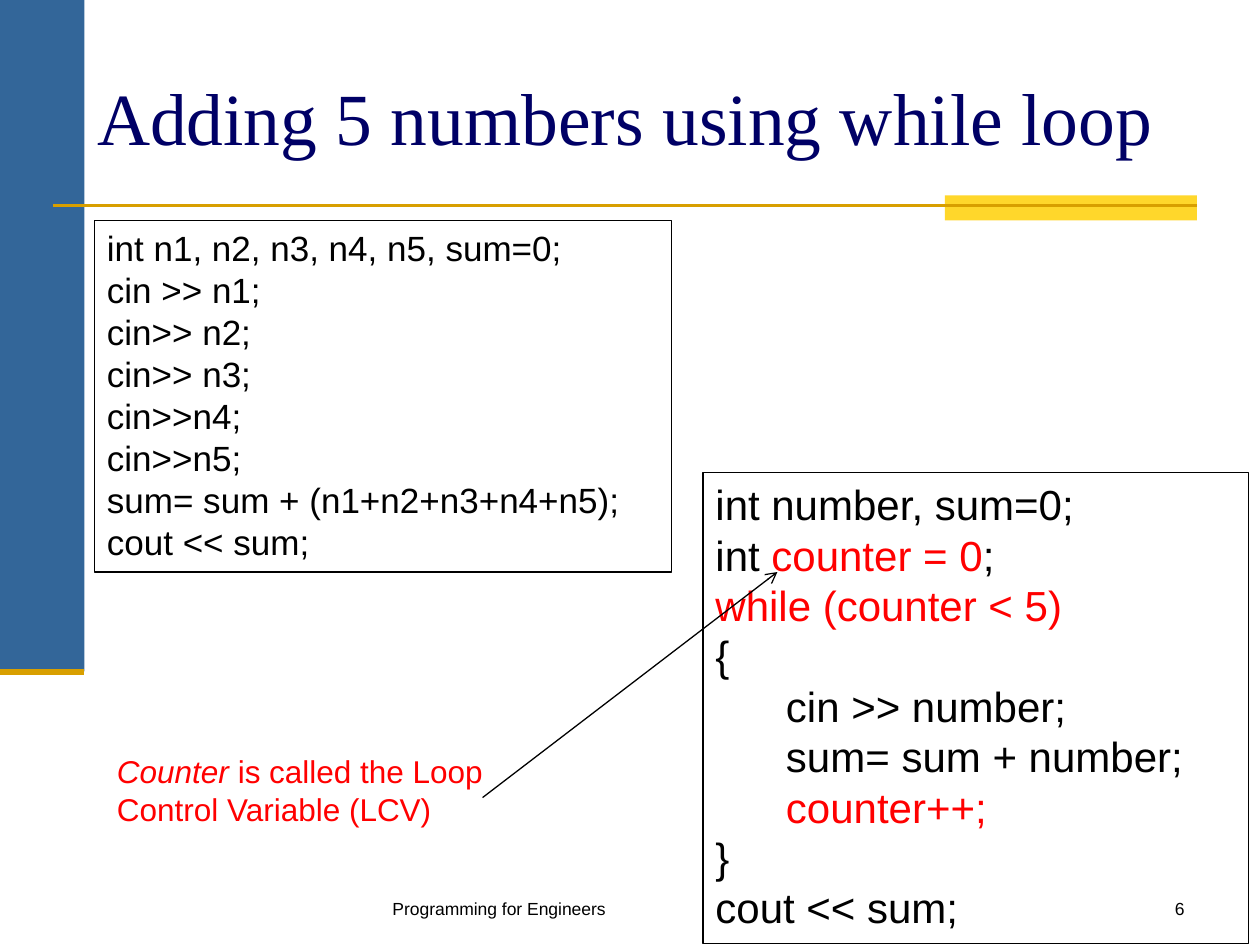
"""Build the slide that compares adding five numbers with and without a while loop."""
from lxml import etree
from pptx import Presentation
from pptx import util as u
from pptx.dml.color import RGBColor
from pptx.enum import shapes, text
from pptx.oxml.ns import qn

COLORS = {"band": "336699", "accent": "FFD72B", "rule": "D89F00",
          "title": "000066", "ink": "000000", "key": "FF0000"}


class SlideBuilder:
    """Hold the style and the current slide."""

    def __init__(self, prs, body_font="Arial", title_font="Times New Roman"):
        """Add a title-only slide."""
        self.s = prs.slides.add_slide(prs.slide_layouts[5])
        self.body_font = body_font
        self.title_font = title_font

    def color(self, name):
        """Look up a colour of the palette."""
        return RGBColor.from_string(COLORS[name])

    def place(self, sp, box):
        """Move and size a shape in inches."""
        sp.left, sp.top, sp.width, sp.height = map(u.Inches, box)

    def run(self, p, words, size, color="ink", italic=False, font=None):
        """Add one formatted run."""
        r = p.add_run()
        r.text = words
        r.font.name = font or self.body_font
        r.font.size = u.Pt(size)
        r.font.italic = italic
        r.font.color.rgb = self.color(color)

    def title(self, words, box, size):
        """Fill the title placeholder."""
        sp = self.s.shapes.title
        self.place(sp, box)
        tf = sp.text_frame
        tf.vertical_anchor = text.MSO_ANCHOR.MIDDLE
        tf.auto_size = text.MSO_AUTO_SIZE.NONE
        p = tf.paragraphs[0]
        p.alignment = text.PP_ALIGN.LEFT
        self.run(p, words, size, "title", font=self.title_font)

    def block(self, box, fill):
        """Add a plain filled rectangle."""
        sp = self.s.shapes.add_shape(shapes.MSO_SHAPE.RECTANGLE, *map(u.Inches, box))
        sp.shadow.inherit = False
        sp.fill.solid()
        sp.fill.fore_color.rgb = self.color(fill)
        sp.line.fill.background()

    def line(self, start, end, color, width, arrow=False):
        """Add a straight line, with an open arrowhead if wanted."""
        c = self.s.shapes.add_connector(
            shapes.MSO_CONNECTOR.STRAIGHT, *map(u.Inches, start + end))
        c.line.color.rgb = self.color(color)
        c.line.width = u.Pt(width)
        if arrow:
            etree.SubElement(c.line._get_or_add_ln(), qn("a:tailEnd"), type="arrow")
        etree.SubElement(c._element.spPr, qn("a:effectLst"))

    def text(self, box, lines, size, align=text.PP_ALIGN.LEFT, border=False):
        """Add a text box; each line is an indent and its runs."""
        sp = self.s.shapes.add_textbox(*map(u.Inches, box))
        if border:
            sp.line.color.rgb = self.color("ink")
            sp.line.width = u.Pt(0.75)
        tf = sp.text_frame
        tf.word_wrap = True
        for i, (indent, runs) in enumerate(lines):
            p = tf.paragraphs[0] if i == 0 else tf.add_paragraph()
            p.alignment = align
            if indent:
                p._p.get_or_add_pPr().set("marL", str(u.Inches(indent)))
            for words, *style in runs:
                self.run(p, words, size, *style)


def main():
    """Build and save the slide."""
    prs = Presentation()
    prs.slide_width, prs.slide_height = u.Inches(10), u.Inches(7.5)
    b = SlideBuilder(prs)

    b.block((0, 0, 0.67, 5.33), "band")
    b.block((7.5, 1.55, 2, 0.2), "accent")
    b.line((0.42, 1.63), (9.5, 1.63), "rule", 1.5)
    b.line((0, 5.33), (0.67, 5.33), "rule", 3.5)
    b.text((1, 7.08, 5.92, 0.25), [(0, [("Programming for Engineers",)])], 10,
           text.PP_ALIGN.CENTER)
    b.text((7.42, 7.08, 2.08, 0.25), [(0, [("6",)])], 10, text.PP_ALIGN.RIGHT)
    b.title("Adding 5 numbers using while loop", (0.67, 0.3, 8.83, 1.25), 42)

    indent = 0.56
    loop_code = [
        (0, [("int number, sum=0;",)]),
        (0, [("int ",), ("counter = 0", "key"), (";",)]),
        (0, [("while (counter < 5)", "key")]),
        (0, [("{",)]),
        (indent, [("cin >> number;",)]),
        (indent, [("sum= sum + number;",)]),
        (indent, [("counter++;", "key")]),
        (0, [("}",)]),
        (0, [("cout << sum;",)]),
    ]
    b.text((5.58, 3.75, 4.33, 3.74), loop_code, 24, border=True)

    plain_code = ["int n1, n2, n3, n4, n5, sum=0;", "cin >> n1;", "cin>> n2;",
                  "cin>> n3;", "cin>>n4;", "cin>>n5;",
                  "sum= sum + (n1+n2+n3+n4+n5);", "cout << sum;"]
    b.text((0.75, 1.75, 4.58, 2.79), [(0, [(code,)]) for code in plain_code], 20,
           border=True)

    note = [("Counter ", "key", True),
            ("is called the Loop Control Variable (LCV)", "key")]
    b.text((0.83, 5.92, 3.67, 0.71), [(0, note)], 18)
    b.line((3.83, 6.33), (6.17, 4.54), "ink", 0.75, arrow=True)

    prs.save("out.pptx")


if __name__ == "__main__":
    main()
